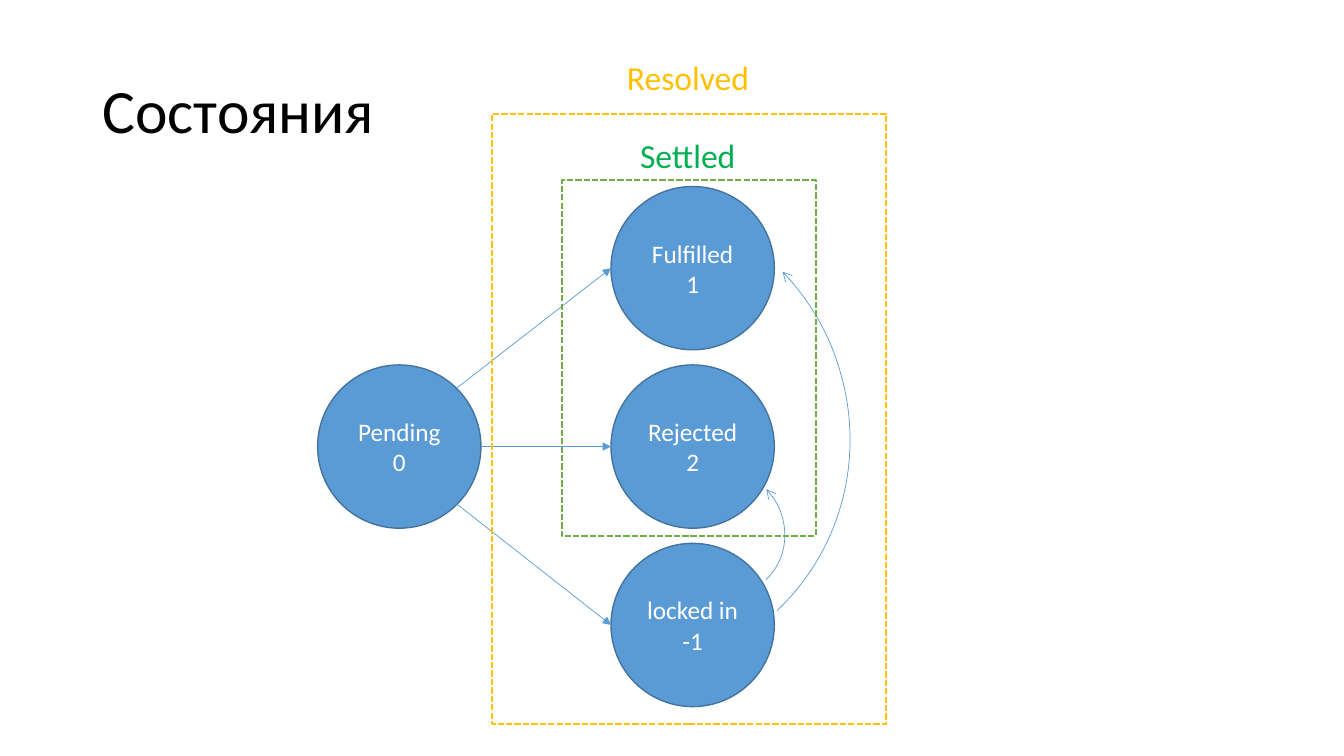
"""Builds a slide showing the states of a promise and the moves between them."""
from lxml.etree import SubElement
from pptx import Presentation
from pptx.dml.color import RGBColor
from pptx.enum.dml import MSO_LINE
from pptx.enum.shapes import MSO_CONNECTOR, MSO_SHAPE
from pptx.enum.text import MSO_ANCHOR, MSO_AUTO_SIZE, PP_ALIGN
from pptx.oxml.ns import qn
from pptx.util import Inches, Pt

COLORS = {
    "black": "000000",
    "white": "FFFFFF",
    "blue": "5B9BD5",
    "dark_blue": "43739E",
    "settled_frame": "70AD47",
    "settled_label": "00B050",
    "resolved": "FFC000",
}


def write(shape, text, size=18, color="white", align=PP_ALIGN.LEFT,
          anchor=MSO_ANCHOR.TOP, wrap=True, spacing=1.0):
    frame = shape.text_frame
    frame.word_wrap = wrap
    frame.auto_size = MSO_AUTO_SIZE.NONE if wrap else MSO_AUTO_SIZE.SHAPE_TO_FIT_TEXT
    frame.vertical_anchor = anchor
    for index, content in enumerate(text.split("\n")):
        para = frame.add_paragraph() if index else frame.paragraphs[0]
        para.alignment = align
        para.line_spacing = spacing
        span = para.add_run()
        span.text = content
        span.font.name = "Calibri"
        span.font.size = Pt(size)
        span.font.color.rgb = RGBColor.from_string(COLORS[color])


def outline(shape, color="blue", width=0.5, dash=None, arrow=None):
    shape.line.color.rgb = RGBColor.from_string(COLORS[color])
    shape.line.width = Pt(width)
    if dash:
        shape.line.dash_style = dash
    if arrow:
        end, kind = arrow
        SubElement(shape.line._get_or_add_ln(), qn(f"a:{end}"), type=kind)


deck = Presentation()
deck.slide_width = Inches(13.33)
deck.slide_height = Inches(7.5)
page = deck.slides.add_slide(deck.slide_layouts[6])
shapes = page.shapes

title = shapes.add_textbox(Inches(0.92), Inches(0.4), Inches(11.5), Inches(1.45))
write(title, "Состояния", size=44, color="black", anchor=MSO_ANCHOR.MIDDLE, spacing=0.9)

diameter = 1.62
pending_left, outcome_left = 3.15, 6.06
outcome_tops = [1.85 + 1.77 * row for row in range(3)]
states = [("Pending\n0", pending_left, outcome_tops[1])]
for text, top in zip(["Fulfilled\n1", "Rejected\n2", "locked in\n-1"], outcome_tops):
    states.append((text, outcome_left, top))

for text, left, top in states:
    circle = shapes.add_shape(MSO_SHAPE.OVAL, Inches(left), Inches(top),
                              Inches(diameter), Inches(diameter))
    circle.shadow.inherit = False
    circle.fill.solid()
    circle.fill.fore_color.rgb = RGBColor.from_string(COLORS["blue"])
    outline(circle, color="dark_blue", width=1)
    write(circle, text, align=PP_ALIGN.CENTER, anchor=MSO_ANCHOR.MIDDLE)

pending_exits = [(4.53, 3.85), (4.77, 4.43), (4.53, 5.0)]
for (exit_x, exit_y), top in zip(pending_exits, outcome_tops):
    transition = shapes.add_connector(
        MSO_CONNECTOR.STRAIGHT, Inches(exit_x), Inches(exit_y),
        Inches(outcome_left), Inches(top + diameter / 2))
    outline(transition, arrow=("tailEnd", "triangle"))
    SubElement(transition._element.spPr, qn("a:effectLst"))

for bounds in [(3.65, 1.96, 4.81, 4.7), (6.5, 4.66, 1.3, 1.24)]:
    unlock = shapes.add_shape(MSO_SHAPE.ARC, *map(Inches, bounds))
    unlock.rotation = 46.6
    unlock.shadow.inherit = False
    unlock.fill.background()
    outline(unlock, arrow=("headEnd", "arrow"))

groups = [
    ("Settled", (5.57, 1.79, 2.52, 3.53), "settled_frame",
     (6.25, 1.29, 1.16, 0.48), "settled_label"),
    ("Resolved", (4.88, 1.13, 3.91, 6.05), "resolved",
     (6.12, 0.52, 1.43, 0.48), "resolved"),
]
for name, frame_bounds, frame_color, label_bounds, label_color in groups:
    border = shapes.add_shape(MSO_SHAPE.RECTANGLE, *map(Inches, frame_bounds))
    border.shadow.inherit = False
    border.fill.background()
    outline(border, color=frame_color, width=1.5, dash=MSO_LINE.SQUARE_DOT)
    label = shapes.add_textbox(*map(Inches, label_bounds))
    write(label, name, size=24, color=label_color, wrap=False)

deck.save("out.pptx")
